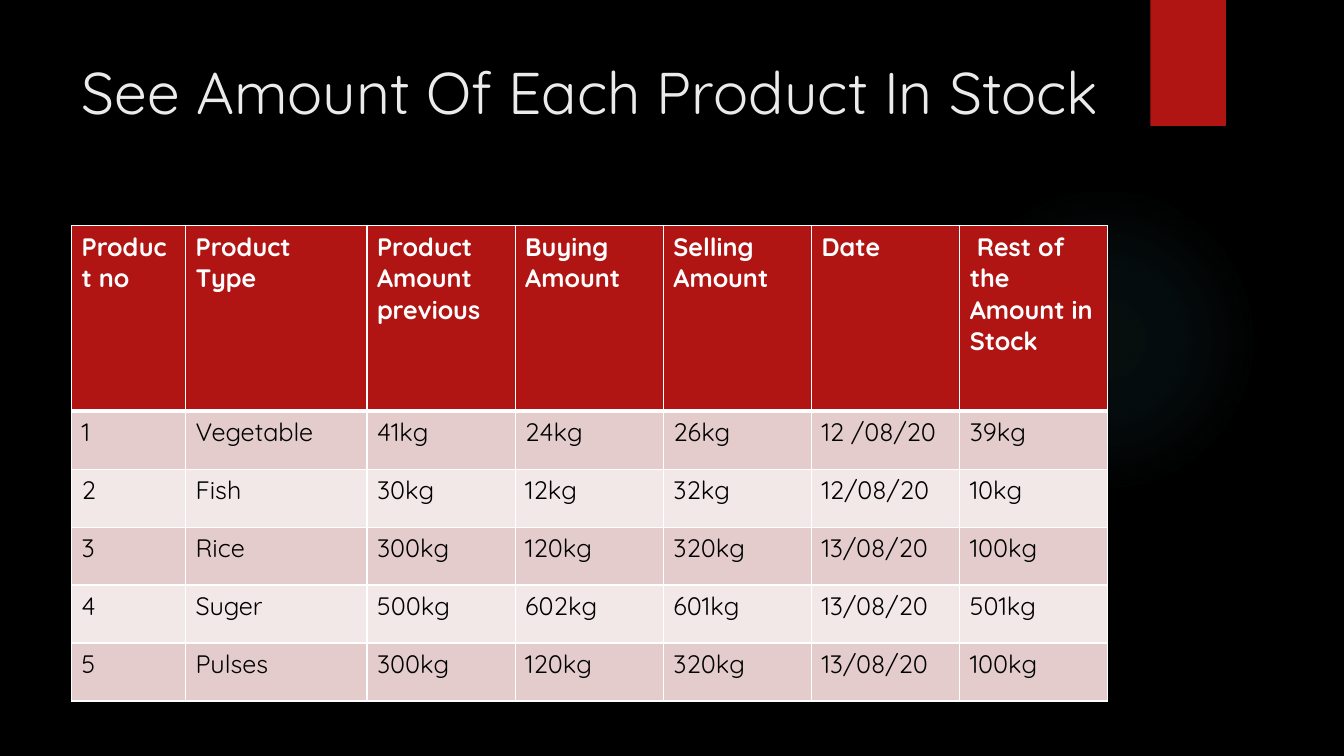
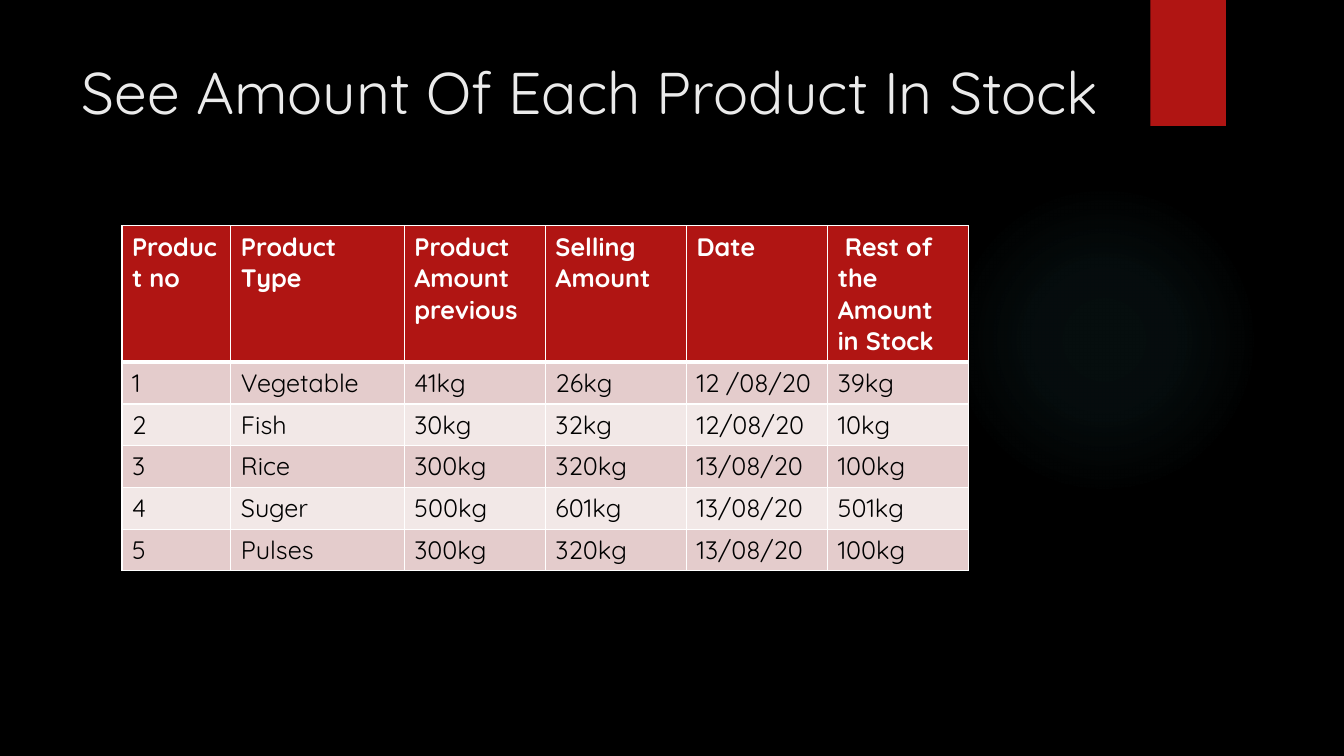
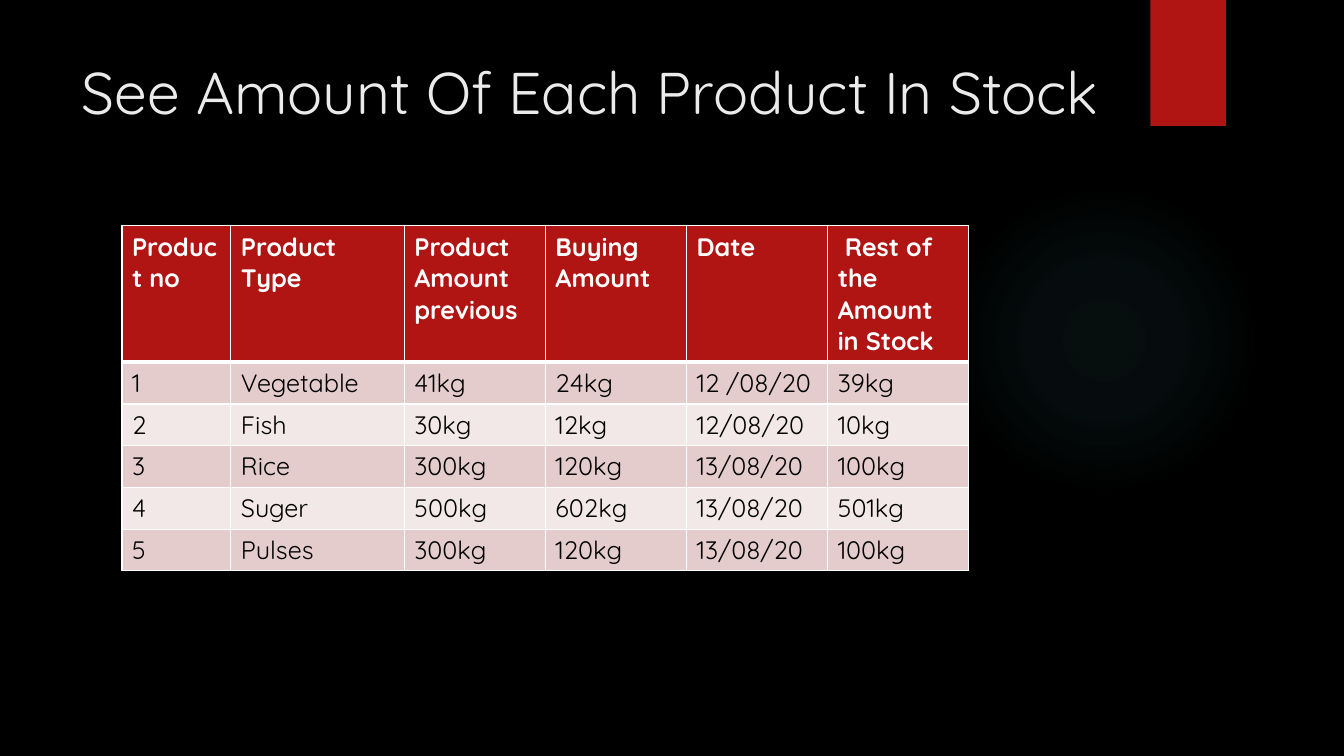
"""Build three stock-table slides that share one dark theme."""
import pptx
import pptx.dml.color
import pptx.enum.shapes
import pptx.enum.text
import pptx.oxml
import pptx.oxml.ns
import pptx.util

Inches = pptx.util.Inches
Color = pptx.dml.color.RGBColor.from_string

TITLE = "See Amount Of Each Product In Stock"
HEADINGS = {
    "number": "Product no",
    "type": "Product Type",
    "previous": "Product Amount\nprevious",
    "buying": "Buying Amount",
    "selling": "Selling Amount",
    "date": "Date",
    "rest": " Rest of the Amount in Stock",
}
PRODUCTS = [
    ("1", "Vegetable", "41kg", "24kg", "26kg", "12 /08/20", "39kg"),
    ("2", "Fish", "30kg", "12kg", "32kg", "12/08/20", "10kg"),
    ("3", "Rice", "300kg", "120kg", "320kg", "13/08/20", "100kg"),
    ("4", "Suger", "500kg", "602kg", "601kg", "13/08/20", "501kg"),
    ("5", "Pulses", "300kg", "120kg", "320kg", "13/08/20", "100kg"),
]
FULL_TABLE = {"left": 0.71, "number": 1.13, "type": 1.8, "other": 1.47,
              "header": 1.84, "body": 0.575}
SHORT_TABLE = {"left": 1.21, "number": 1.08, "type": 1.72, "other": 1.4,
               "header": 1.35, "body": 0.41}
TABLES = [
    (FULL_TABLE, ()),
    (SHORT_TABLE, ("buying",)),
    (SHORT_TABLE, ("selling",)),
]
TABLE_TOP = 2.24


class Theme:
    """Colours, typeface and sizes of the deck."""
    font = "Quicksand"
    background = "000000"
    accent = "B01513"
    glow = "50B9C1"
    glow_stops = ((0, 7), (36, 6), (69, 0))
    title = {"size": 42, "color": "EBEBEB", "bold": False}
    header = {"size": 18, "color": "FFFFFF", "bold": True}
    body = {"size": 18, "color": "000000", "bold": False}
    bands = ("E4CCCC", "F2E8E7")
    border = "FFFFFF"
    thin, thick = 1, 3


def format_text(text_frame, style):
    """Apply a text style to every paragraph."""
    for paragraph in text_frame.paragraphs:
        paragraph.alignment = pptx.enum.text.PP_ALIGN.LEFT
        values = {"name": Theme.font, "size": pptx.util.Pt(style["size"]), "bold": style["bold"]}
        for name, value in values.items():
            setattr(paragraph.font, name, value)
        paragraph.font.color.rgb = Color(style["color"])


def add_plain_shape(slide, kind, box):
    """Add a preset shape without line or shadow."""
    shape = slide.shapes.add_shape(kind, *map(Inches, box))
    shape.shadow.inherit = False
    shape.line.fill.background()
    return shape


def build_backdrop(presentation, layout, slide):
    """Put the dark ground, glow and red tab behind all slides."""
    fill = presentation.slide_master.background.fill
    fill.solid()
    fill.fore_color.rgb = Color(Theme.background)
    kinds = pptx.enum.shapes.MSO_SHAPE
    glow = add_plain_shape(slide, kinds.OVAL, (9.41, 1.83, 3.08, 3.08))
    stops = "".join(
        f'<a:gs pos="{position * 1000}"><a:srgbClr val="{Theme.glow}">'
        f'<a:alpha val="{alpha * 1000}"/></a:srgbClr></a:gs>'
        for position, alpha in Theme.glow_stops)
    glow.element.spPr.insert(2, pptx.oxml.parse_xml(
        f'<a:gradFill {pptx.oxml.ns.nsdecls("a")}><a:gsLst>{stops}</a:gsLst><a:path path="circle">'
        '<a:fillToRect l="50000" t="50000" r="50000" b="50000"/></a:path></a:gradFill>'))
    tab = add_plain_shape(slide, kinds.RECTANGLE, (11.41, 0, 0.75, 1.25))
    tab.fill.solid()
    tab.fill.fore_color.rgb = Color(Theme.accent)
    for number, shape in enumerate((glow, tab), 20):
        shape.element.nvSpPr.cNvPr.set("id", str(number))
        layout.shapes.element.append(shape.element)


def fill_title(slide):
    """Place and format the title."""
    title = slide.shapes.title
    box = {"left": 0.71, "top": 0.5, "width": 10.29, "height": 1.53}
    for name, value in box.items():
        setattr(title, name, Inches(value))
    frame = title.text_frame
    frame.text = TITLE
    settings = {"word_wrap": True, "auto_size": pptx.enum.text.MSO_AUTO_SIZE.NONE,
                "vertical_anchor": pptx.enum.text.MSO_ANCHOR.TOP}
    for name, value in settings.items():
        setattr(frame, name, value)
    format_text(frame, Theme.title)


def format_cell(cell, row_index):
    """Give a cell its borders, fill and text style."""
    is_header = row_index == 0
    widths = {"lnL": Theme.thin, "lnR": Theme.thin,
              "lnT": Theme.thick if row_index == 1 else Theme.thin,
              "lnB": Theme.thick if is_header else Theme.thin}
    properties = cell._tc.get_or_add_tcPr()
    for side, width in widths.items():
        properties.append(pptx.oxml.parse_xml(
            f'<a:{side} {pptx.oxml.ns.nsdecls("a")} w="{pptx.util.Pt(width)}"><a:solidFill>'
            f'<a:srgbClr val="{Theme.border}"/></a:solidFill></a:{side}>'))
    cell.fill.solid()
    cell.fill.fore_color.rgb = Color(Theme.accent if is_header else Theme.bands[(row_index - 1) % 2])
    format_text(cell.text_frame, Theme.header if is_header else Theme.body)


def add_stock_table(slide, layout, hidden):
    """Add the stock table without the hidden columns."""
    shown = [(index, key) for index, key in enumerate(HEADINGS) if key not in hidden]
    rows = [tuple(HEADINGS.values()), *PRODUCTS]
    widths = [layout.get(key, layout["other"]) for _, key in shown]
    heights = [layout["header"]] + [layout["body"]] * len(PRODUCTS)
    table = slide.shapes.add_table(
        len(rows), len(shown), Inches(layout["left"]), Inches(TABLE_TOP),
        Inches(sum(widths)), Inches(sum(heights))).table
    table.first_row = table.horz_banding = False
    for column, width in zip(table.columns, widths):
        column.width = Inches(width)
    for row_index, (values, height) in enumerate(zip(rows, heights)):
        table.rows[row_index].height = Inches(height)
        for column_index, (value_index, _) in enumerate(shown):
            cell = table.cell(row_index, column_index)
            cell.text = values[value_index]
            format_cell(cell, row_index)


def main():
    """Build and save the presentation."""
    presentation = pptx.Presentation()
    presentation.slide_width, presentation.slide_height = Inches(13.33), Inches(7.5)
    title_only = presentation.slide_layouts[5]
    slides = [presentation.slides.add_slide(title_only) for _ in TABLES]
    build_backdrop(presentation, title_only, slides[0])
    for slide, (layout, hidden) in zip(slides, TABLES):
        fill_title(slide)
        add_stock_table(slide, layout, hidden)
    presentation.save("out.pptx")


if __name__ == "__main__":
    main()
